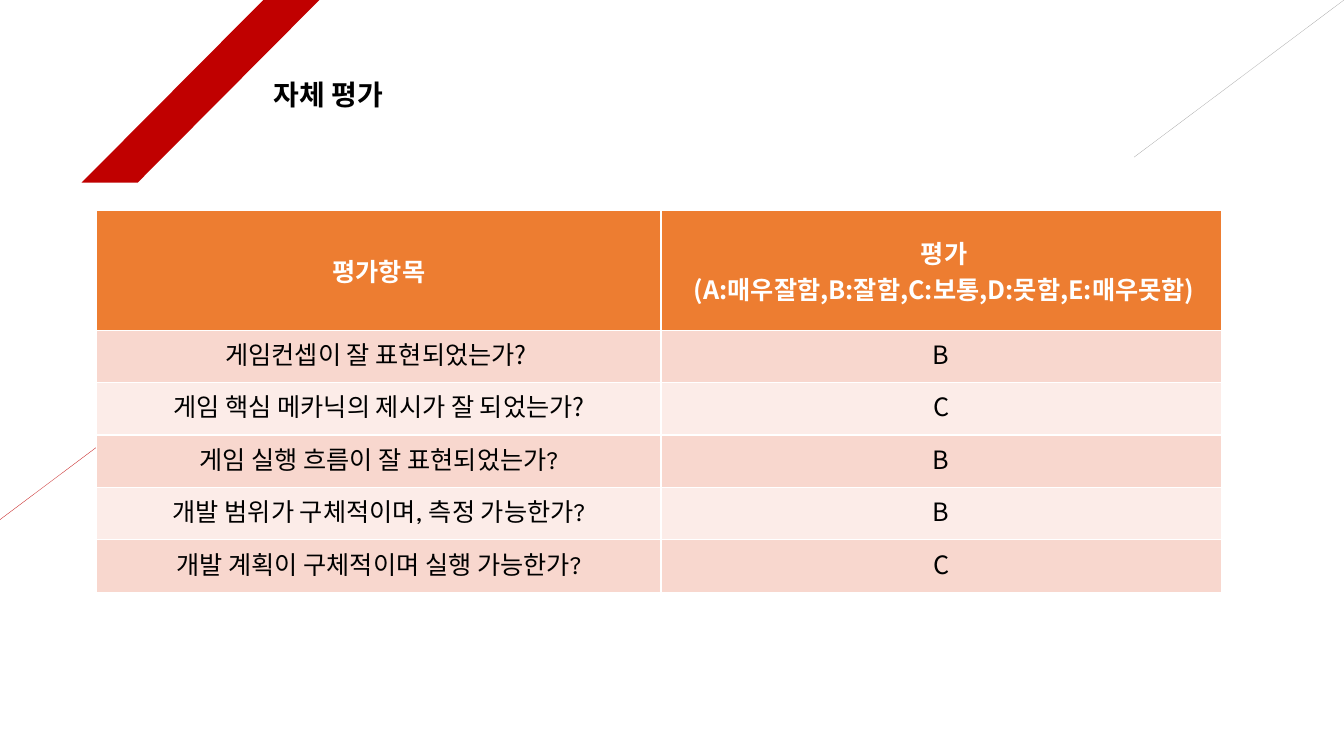
from dataclasses import dataclass

from lxml.etree import SubElement
from pptx import Presentation
from pptx.dml.color import RGBColor as RGB
from pptx.enum.shapes import MSO_CONNECTOR as CONN, MSO_SHAPE as SHAPE
from pptx.enum.text import MSO_ANCHOR as ANCHOR, PP_ALIGN as ALIGN
from pptx.oxml.ns import qn
from pptx.util import Cm, Pt


@dataclass(frozen=True)
class Theme:
    font: str = "Noto Sans CJK KR"
    mark_font: str = "League Spartan"
    title_size: int = 20
    cell_size: int = 18
    black: RGB = RGB(0, 0, 0)
    white: RGB = RGB(255, 255, 255)
    red: RGB = RGB(0xC0, 0, 0)
    gray: RGB = RGB(0xA6, 0xA6, 0xA6)
    header: RGB = RGB(0xED, 0x7D, 0x31)
    bands: tuple = (RGB(0xF8, 0xD7, 0xCE), RGB(0xFC, 0xEC, 0xE8))


T = Theme()


def style_run(r, size, color, bold, font=T.font):
    """Format a run, with one font for Latin and Korean letters."""
    r.font.size, r.font.bold, r.font.name = Pt(size), bold, font
    r.font.color.rgb = color
    SubElement(r.font._element, qn("a:ea")).set("typeface", font)


def write_cell(cell, text, fill, color, bold):
    """Fill a cell; parts between bars alternate between the two fonts."""
    cell.fill.solid()
    cell.fill.fore_color.rgb = fill
    tf = cell.text_frame
    for i, line in enumerate(text.split("\n")):
        p = tf.add_paragraph() if i else tf.paragraphs[0]
        p.alignment = ALIGN.CENTER
        for j, part in enumerate(line.split("|")):
            if part:
                r = p.add_run()
                r.text = part
                style_run(r, T.cell_size, color, bold, T.mark_font if j % 2 else T.font)


prs = Presentation()
prs.slide_width, prs.slide_height = Cm(33.87), Cm(19.05)
s = prs.slides.add_slide(prs.slide_layouts[5])

# Slanted decoration
for x1, y1, x2, y2, color in (
    (28.58, 3.96, 33.87, 0, T.gray),
    (-0.05, 13.13, 9.55, 5.94, T.red),
):
    line = s.shapes.add_connector(CONN.STRAIGHT, Cm(x1), Cm(y1), Cm(x2), Cm(y2))
    line.line.color.rgb = color
    line.line.width = Pt(0.2)
    SubElement(line._element.spPr, qn("a:effectLst"))

stripe = s.shapes.add_shape(SHAPE.PARALLELOGRAM, Cm(2.06), Cm(0), Cm(5.99), Cm(4.6))
stripe.adjustments[0] = 0.995
stripe.shadow.inherit = False
stripe.fill.solid()
stripe.fill.fore_color.rgb = T.red
stripe.line.fill.background()

# Title
title = s.shapes.title
title.left, title.top, title.width, title.height = Cm(6.65), Cm(1.78), Cm(20.55), Cm(1.32)
tf = title.text_frame
tf.text = "자체 평가"
tf.vertical_anchor = ANCHOR.MIDDLE
p = tf.paragraphs[0]
p.alignment, p.line_spacing = ALIGN.LEFT, 0.9
style_run(p.runs[0], T.title_size, T.black, True)

# Evaluation table
rows = (
    ("평가항목", " 평가\n (A:매우잘함,B:잘함,C:보통,D:못함,E:매우못함)"),
    ("게임컨셉이 잘 표현되었는가? ", "B"),
    ("게임 핵심 메카닉의 제시가 잘 되었는가?", "C"),
    ("게임 실행 흐름이 잘 표현되었는가|?", "B"),
    ("개발 범위가 구체적이며|, |측정 가능한가|?", "B"),
    ("개발 계획이 구체적이며 실행 가능한가|?", "C"),
)
col_widths = (14.22, 14.12)
header_height, row_height = 2.31, 1.32
table = s.shapes.add_table(
    len(rows), len(col_widths), Cm(2.44), Cm(5.31),
    Cm(sum(col_widths)), Cm(header_height + row_height * (len(rows) - 1)),
).table
for col, width in zip(table.columns, col_widths):
    col.width = Cm(width)

for i, row in enumerate(rows):
    is_header = i == 0
    table.rows[i].height = Cm(header_height if is_header else row_height)
    fill = T.header if is_header else T.bands[(i - 1) % 2]
    for j, text in enumerate(row):
        cell = table.cell(i, j)
        write_cell(cell, text, fill, T.white if is_header else T.black, is_header)
        if is_header:
            cell.vertical_anchor = ANCHOR.MIDDLE

prs.save("out.pptx")
